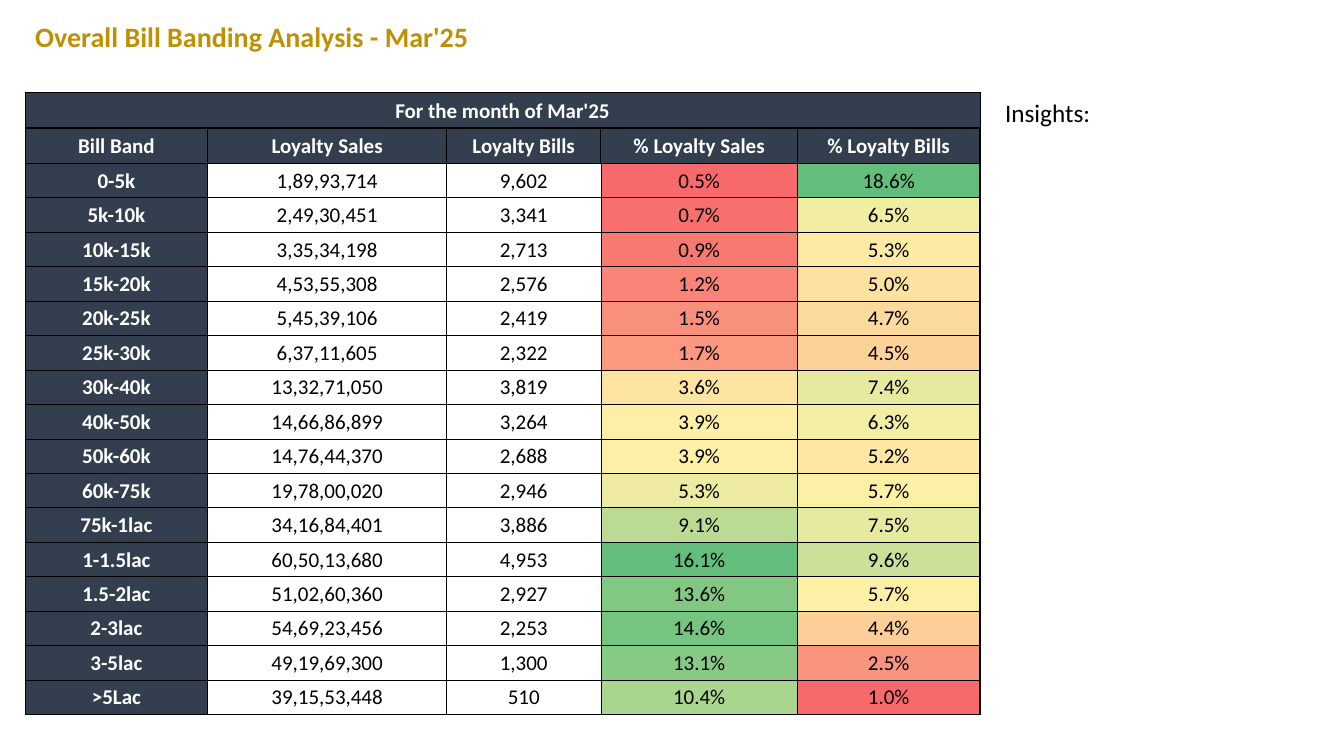
import pptx
import pptx.dml.color
import pptx.enum.text
import pptx.oxml.ns
import pptx.util
from lxml import etree

WIDTH, HEIGHT = 13.33, 7.5
MARGIN, TABLE_TOP = 0.25, 0.92
COLUMN_WIDTHS = [1.81, 2.37, 1.53, 1.95, 1.81]
HEADER_HEIGHT, BAND_HEIGHT = 0.35, 0.34
TABLE_HEIGHT = 6.17
NAVY, GOLD, WHITE, BLACK = "333F4F", "BF9000", "FFFFFF", "000000"

TABLE_TITLE = "For the month of Mar'25"
HEADINGS = ["Bill Band", "Loyalty Sales", "Loyalty Bills", "% Loyalty Sales", "% Loyalty Bills"]
# band, sales, bills, share of sales, share of bills, fill of each share
BANDS = [
    ("0-5k", "1,89,93,714", "9,602", "0.5%", "18.6%", "F8696B", "63BE7B"),
    ("5k-10k", "2,49,30,451", "3,341", "0.7%", "6.5%", "F8706E", "F2EDA3"),
    ("10k-15k", "3,35,34,198", "2,713", "0.9%", "5.3%", "F87972", "FDEBA4"),
    ("15k-20k", "4,53,55,308", "2,576", "1.2%", "5.0%", "F98477", "FDE1A0"),
    ("20k-25k", "5,45,39,106", "2,419", "1.5%", "4.7%", "F9907C", "FCD99C"),
    ("25k-30k", "6,37,11,605", "2,322", "1.7%", "4.5%", "FA9980", "FCD299"),
    ("30k-40k", "13,32,71,050", "3,819", "3.6%", "7.4%", "FDE4A1", "E7E9A0"),
    ("40k-50k", "14,66,86,899", "3,264", "3.9%", "6.3%", "FDF0A6", "F4EEA4"),
    ("50k-60k", "14,76,44,370", "2,688", "3.9%", "5.2%", "FDF0A6", "FDE7A3"),
    ("60k-75k", "19,78,00,020", "2,946", "5.3%", "5.7%", "ECEBA1", "FCF0A6"),
    ("75k-1lac", "34,16,84,401", "3,886", "9.1%", "7.5%", "BBDB94", "E6E9A0"),
    ("1-1.5lac", "60,50,13,680", "4,953", "16.1%", "9.6%", "63BE7B", "CCE099"),
    ("1.5-2lac", "51,02,60,360", "2,927", "13.6%", "5.7%", "82C883", "FCF0A6"),
    ("2-3lac", "54,69,23,456", "2,253", "14.6%", "4.4%", "75C480", "FCCF98"),
    ("3-5lac", "49,19,69,300", "1,300", "13.1%", "2.5%", "88CA85", "F9957E"),
    (">5Lac", "39,15,53,448", "510", "10.4%", "1.0%", "AAD58F", "F8696B"),
]


def color(hex_text):
    return pptx.dml.color.RGBColor.from_string(hex_text)


def write(frame, text, size, fill=BLACK, bold=False, align="LEFT"):
    para = frame.paragraphs[0]
    para.alignment = getattr(pptx.enum.text.PP_ALIGN, align)
    span = para.add_run()
    span.text = text
    span.font.name = "Calibri"
    span.font.size = pptx.util.Pt(size)
    span.font.bold = bold
    span.font.color.rgb = color(fill)


def add_text(page, box, text, **style):
    frame = page.shapes.add_textbox(*map(pptx.util.Inches, box)).text_frame
    frame.word_wrap = True
    write(frame, text, **style)


def border_widths(row, column):
    """Heavy lines frame the table, its header and the column pairs; the rest are thin."""
    last_row, last_column = len(BANDS) + 1, len(HEADINGS) - 1
    heavy = {
        "L": column == 0 or (row == 1 and column in (1, 3)),
        "R": column == last_column or (row == 1 and column in (0, 2)),
        "T": row <= 1 or (row == 2 and column == 0),
        "B": row in (0, last_row) or (row == 1 and column == 0),
    }
    return {side: 1 if is_heavy else 0.5 for side, is_heavy in heavy.items()}


def format_cell(cell, row, column, fill):
    properties = cell._tc.get_or_add_tcPr()
    for side, width in border_widths(row, column).items():
        line = etree.SubElement(properties, pptx.oxml.ns.qn(f"a:ln{side}"), w=str(pptx.util.Pt(width)))
        solid = etree.SubElement(line, pptx.oxml.ns.qn("a:solidFill"))
        etree.SubElement(solid, pptx.oxml.ns.qn("a:srgbClr"), val=BLACK)
    if fill:
        cell.fill.solid()
        cell.fill.fore_color.rgb = color(fill)
    else:
        cell.fill.background()
    cell.margin_left = cell.margin_right = cell.margin_top = pptx.util.Inches(0.01)
    cell.margin_bottom = 0
    cell.vertical_anchor = pptx.enum.text.MSO_ANCHOR.MIDDLE


def add_band_table(page, box):
    rows = [[TABLE_TITLE, "", "", "", ""], HEADINGS] + [band[:5] for band in BANDS]
    fills = [[NAVY] * 5] * 2 + [[NAVY, None, None, *band[5:]] for band in BANDS]
    table = page.shapes.add_table(len(rows), len(HEADINGS), *map(pptx.util.Inches, box)).table
    table.first_row = table.horz_banding = False
    for column, width in enumerate(COLUMN_WIDTHS):
        table.columns[column].width = pptx.util.Inches(width)
    band_height = (box[3] - 2 * HEADER_HEIGHT) / len(BANDS)
    for row, texts in enumerate(rows):
        table.rows[row].height = pptx.util.Inches(HEADER_HEIGHT if row < 2 else band_height)
        for column, text in enumerate(texts):
            cell, fill = table.cell(row, column), fills[row][column]
            format_cell(cell, row, column, fill)
            if text:
                label = fill == NAVY
                write(cell.text_frame, text, size=15, fill=WHITE if label else BLACK,
                      bold=label, align="CENTER")
    table.cell(0, 0).merge(table.cell(0, len(HEADINGS) - 1))


def main():
    deck = pptx.Presentation()
    deck.slide_width = pptx.util.Inches(WIDTH)
    deck.slide_height = pptx.util.Inches(HEIGHT)
    page = deck.slides.add_slide(deck.slide_layouts[6])
    table_width = sum(COLUMN_WIDTHS)
    insights_left = MARGIN + table_width + 0.15
    add_text(page, (MARGIN, 0.14, 12.95, 0.44), "Overall Bill Banding Analysis - Mar'25",
             size=20, fill=GOLD, bold=True)
    add_text(page, (insights_left, TABLE_TOP, WIDTH - insights_left, 0.4), "Insights:", size=18)
    add_band_table(page, (MARGIN, TABLE_TOP, table_width, TABLE_HEIGHT))
    deck.save("out.pptx")


if __name__ == "__main__":
    main()
